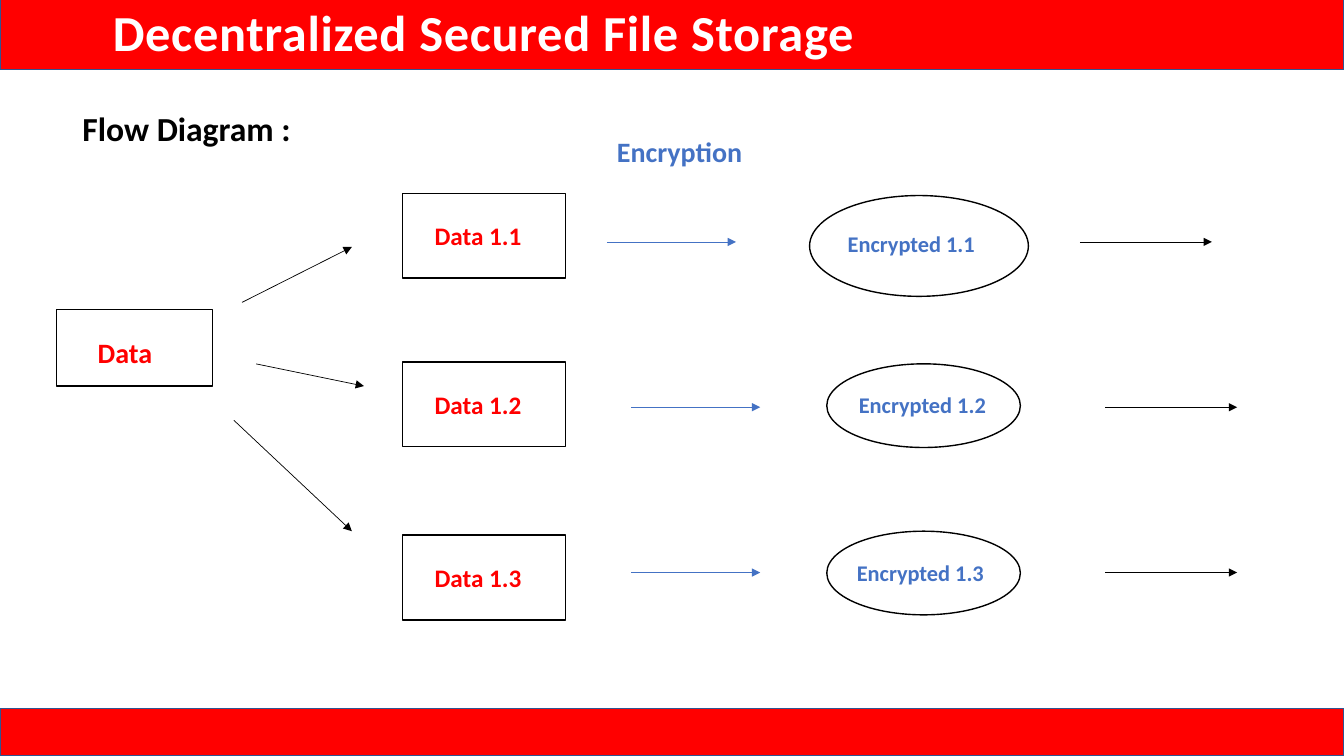
from lxml.etree import SubElement
from pptx import Presentation
from pptx.dml.color import RGBColor
from pptx.enum.shapes import MSO_CONNECTOR, MSO_SHAPE
from pptx.enum.text import MSO_ANCHOR, MSO_AUTO_SIZE, PP_ALIGN
from pptx.oxml.ns import qn
from pptx.util import Pt

EMU_PER_PX = 9144
WIDTH, HEIGHT = 1333, 750


def px(*lengths):
    return [length * EMU_PER_PX for length in lengths]


def paint(color_format, value):
    color_format.rgb = RGBColor.from_string(value)


class FlowSlide:
    font = "Calibri"
    red, blue, black, white, edge = "FF0000", "4472C4", "000000", "FFFFFF", "325491"

    def __init__(self, deck):
        self.slide = deck.slides.add_slide(deck.slide_layouts[6])

    def node(self, preset, box, fill=white, line=black):
        node = self.slide.shapes.add_shape(preset, *px(*box))
        node.shadow.inherit = False
        node.fill.solid()
        paint(node.fill.fore_color, fill)
        paint(node.line.color, line)
        node.line.width = Pt(1)
        return node

    def add_wording(self, frame, wording, size, color, align=PP_ALIGN.LEFT, spacing=0):
        frame.word_wrap = True
        paragraph = frame.paragraphs[0]
        paragraph.alignment = align
        run = paragraph.add_run()
        run.text = wording
        run.font.name = self.font
        run.font.size = Pt(size)
        run.font.bold = True
        paint(run.font.color, color)
        if spacing:
            run._r.get_or_add_rPr().set("spc", str(spacing))

    def label(self, box, wording, size, color, **style):
        frame = self.slide.shapes.add_textbox(*px(*box)).text_frame
        self.add_wording(frame, wording, size, color, **style)
        frame.auto_size = MSO_AUTO_SIZE.SHAPE_TO_FIT_TEXT

    def data_box(self, box, wording):
        frame = self.node(MSO_SHAPE.RECTANGLE, box).text_frame
        frame.vertical_anchor = MSO_ANCHOR.MIDDLE
        frame.margin_left = px(32)[0]
        self.add_wording(frame, wording, 18, self.red)

    def arrow(self, ends, color=black):
        arrow = self.slide.shapes.add_connector(MSO_CONNECTOR.STRAIGHT, *px(*ends))
        paint(arrow.line.color, color)
        arrow.line.width = Pt(0.5)
        properties = arrow._element.spPr
        SubElement(properties.find(qn("a:ln")), qn("a:tailEnd"), type="triangle")
        SubElement(properties, qn("a:effectLst"))


def main():
    deck = Presentation()
    deck.slide_width, deck.slide_height = px(WIDTH, HEIGHT)
    flow = FlowSlide(deck)

    for top, height in ((-7, 76), (703, 47)):
        flow.node(MSO_SHAPE.RECTANGLE, (0, top, WIDTH, height), flow.red, flow.edge)
    flow.label((-10, -4, 980, 71), "Decentralized Secured File Storage", 36,
               flow.white, align=PP_ALIGN.CENTER, spacing=50)
    flow.label((72, 102, 530, 50), "Flow Diagram :", 24, flow.black)
    flow.label((602, 129, 181, 44), "Encryption", 20, flow.blue)

    flow.node(MSO_SHAPE.RECTANGLE, (56, 307, 155, 76))
    flow.label((87, 328, 117, 44), "Data", 20, flow.red)

    branches = (
        (192, (240, 300, 349, 245), 602, (803, 194, 217, 100), (831, 223), 1071),
        (359, (254, 361, 361, 383), 626, (820, 361, 192, 83), (842, 383), 1096),
        (531, (232, 417, 349, 527), 626, (820, 527, 192, 83), (840, 550), 1096),
    )
    for index, (data_top, split, encrypt_x, oval, caption, output_x) in enumerate(branches):
        part = f"1.{index + 1}"
        arrow_y = 240 + 164 * index
        flow.data_box((399, data_top, 162, 84), f"Data {part}")
        flow.node(MSO_SHAPE.OVAL, oval)
        flow.label((*caption, 154, 37), f"Encrypted {part}", 16, flow.blue)
        flow.arrow(split)
        flow.arrow((encrypt_x, arrow_y, encrypt_x + 128, arrow_y), flow.blue)
        flow.arrow((output_x, arrow_y, output_x + 131, arrow_y))

    deck.save("out.pptx")


if __name__ == "__main__":
    main()
